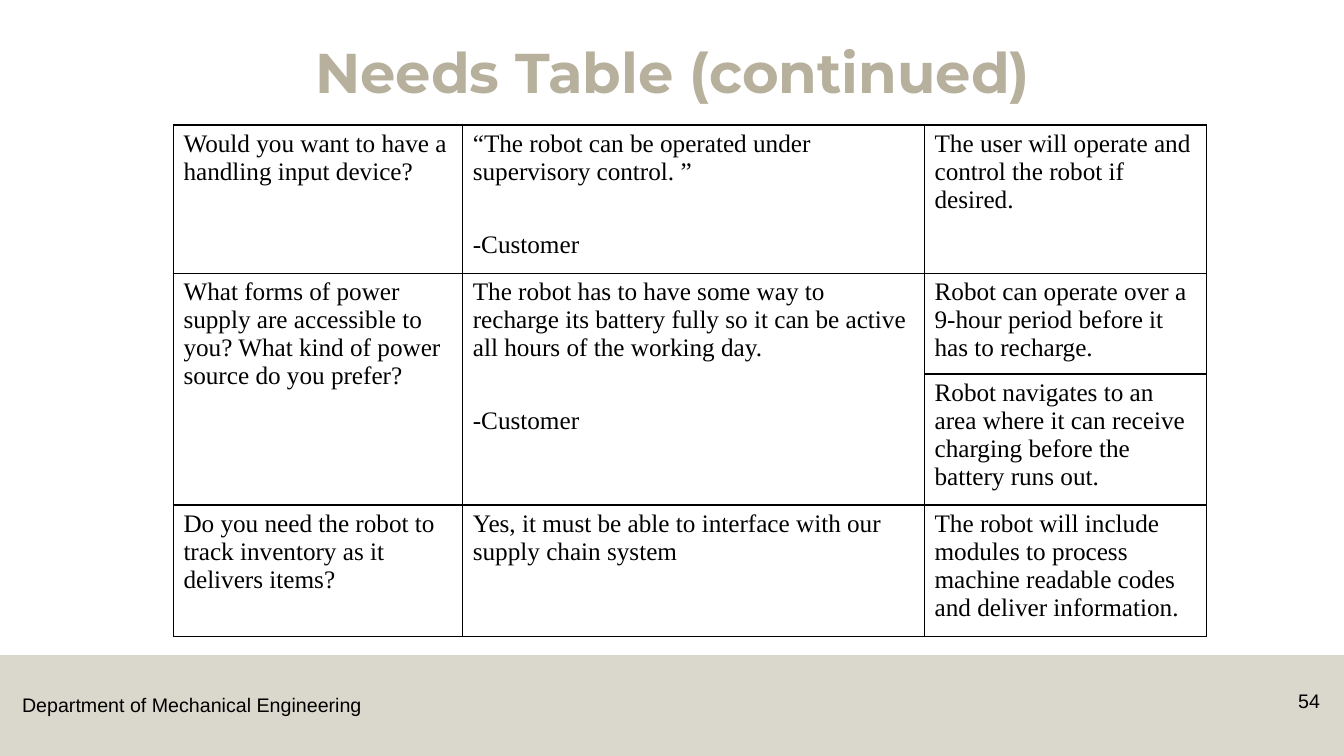
import pptx
import pptx.dml.color
import pptx.enum.shapes
import pptx.enum.text
import pptx.oxml.ns
import pptx.util
from lxml import etree
from pptx.util import Inches

BLACK = pptx.dml.color.RGBColor(0, 0, 0)
TAN = pptx.dml.color.RGBColor(0xB7, 0xB0, 0x9C)
ALIGN = pptx.enum.text.PP_ALIGN

COLUMN_WIDTHS = [2.87, 4.58, 2.8]
ROW_HEIGHTS = [1.47, 1, 1.3, 1.3]
NEEDS = [
    [["Would you want to have a handling input device?"],
     ["“The robot can be operated under supervisory control. ”", "-Customer"],
     ["The user will operate and control the robot if desired."]],
    [["What forms of power supply are accessible to you? "
      "What kind of power source do you prefer?"],
     ["The robot has to have some way to recharge its battery fully "
      "so it can be active all hours of the working day.", "-Customer"],
     ["Robot can operate over a 9-hour period before it has to recharge."]],
    [[], [],
     ["Robot navigates to an area where it can receive charging "
      "before the battery runs out."]],
    [["Do you need the robot to track inventory as it delivers items?"],
     ["Yes, it must be able to interface with our supply chain system"],
     ["The robot will include modules to process machine readable codes "
      "and deliver information."]],
]


def write_text(para, text, font="Arial", size=14, color=BLACK, bold=False,
               align=ALIGN.LEFT, line_spacing=None, space_before=None):
    para.alignment = align
    if line_spacing:
        para.line_spacing = line_spacing
    if space_before:
        para.space_before = pptx.util.Pt(space_before)
    span = para.add_run()
    span.text = text
    span.font.name = font
    span.font.size = pptx.util.Pt(size)
    span.font.bold = bold
    span.font.color.rgb = color


def add_text(page, left, top, width, height, text, wrap=True, **style):
    box = page.shapes.add_textbox(Inches(left), Inches(top), Inches(width), Inches(height))
    box.text_frame.word_wrap = wrap
    write_text(box.text_frame.paragraphs[0], text, **style)


def add_footer_band(page):
    band = page.shapes.add_shape(pptx.enum.shapes.MSO_SHAPE.RECTANGLE,
                                 0, Inches(6.5), Inches(13.33), Inches(1))
    band.shadow.inherit = False
    band.line.fill.background()
    band.fill.solid()
    band.fill.fore_color.rgb = TAN
    color = band.fill._xPr.find(".//" + pptx.oxml.ns.qn("a:srgbClr"))
    etree.SubElement(color, pptx.oxml.ns.qn("a:alpha"), val="50000")


def add_borders(cell):
    properties = cell._tc.get_or_add_tcPr()
    for side in ("lnL", "lnR", "lnT", "lnB"):
        line = etree.SubElement(properties, pptx.oxml.ns.qn("a:" + side), w="12700")
        fill = etree.SubElement(line, pptx.oxml.ns.qn("a:solidFill"))
        etree.SubElement(fill, pptx.oxml.ns.qn("a:srgbClr"), val=str(BLACK))


def fill_cell(cell, texts):
    add_borders(cell)
    cell.fill.background()
    for index, text in enumerate(texts):
        frame = cell.text_frame
        para = frame.add_paragraph() if index else frame.paragraphs[0]
        write_text(para, text, font="Times New Roman", size=18,
                   space_before=32 if index else None)


def add_needs_table(page):
    table = page.shapes.add_table(
        len(ROW_HEIGHTS), len(COLUMN_WIDTHS), Inches(1.72), Inches(1.24),
        Inches(sum(COLUMN_WIDTHS)), Inches(sum(ROW_HEIGHTS))).table
    table.first_row = False
    table.horz_banding = False
    for column, width in zip(table.columns, COLUMN_WIDTHS):
        column.width = Inches(width)
    for row, height, entries in zip(table.rows, ROW_HEIGHTS, NEEDS):
        row.height = Inches(height)
        for cell, texts in zip(row.cells, entries):
            fill_cell(cell, texts)
    for column in (0, 1):
        table.cell(1, column).merge(table.cell(2, column))


def main():
    deck = pptx.Presentation()
    deck.slide_width = Inches(13.33)
    deck.slide_height = Inches(7.5)
    page = deck.slides.add_slide(deck.slide_layouts[6])
    add_footer_band(page)
    add_text(page, 0.12, 6.83, 3.59, 0.34, "Department of Mechanical Engineering", wrap=False)
    add_text(page, 12.42, 6.79, 0.77, 0.4, "54", align=ALIGN.RIGHT)
    add_text(page, 0.92, 0.4, 11.5, 1.45, "Needs Table (continued)", font="Montserrat",
             size=40, color=TAN, bold=True, align=ALIGN.CENTER, line_spacing=0.9)
    add_needs_table(page)
    deck.save("out.pptx")


if __name__ == "__main__":
    main()
